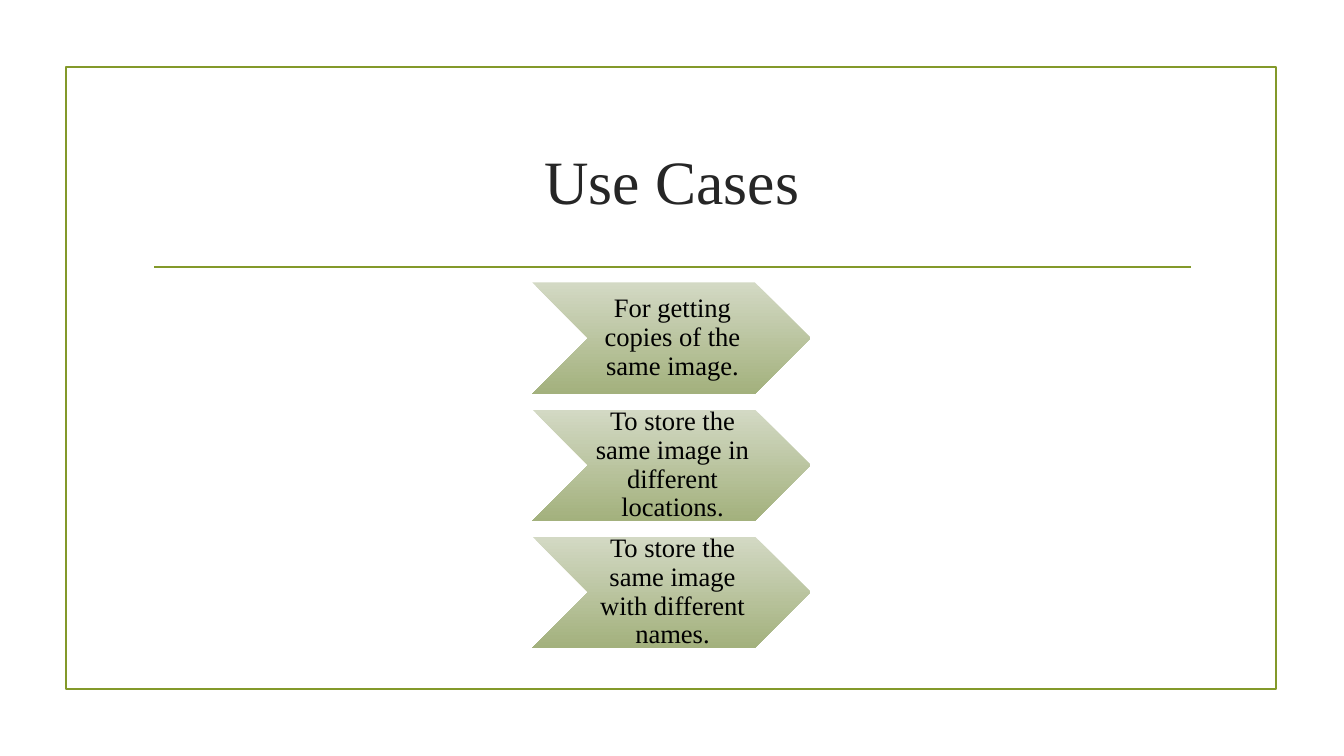
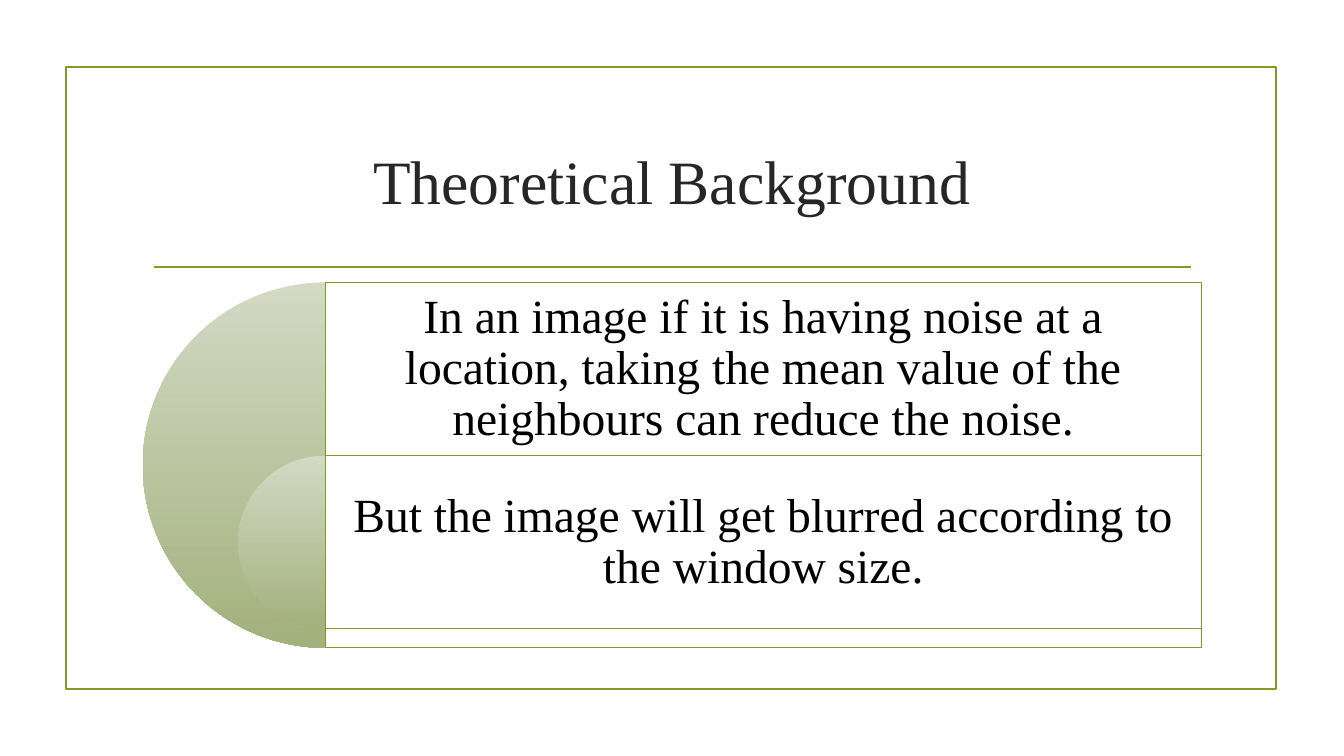
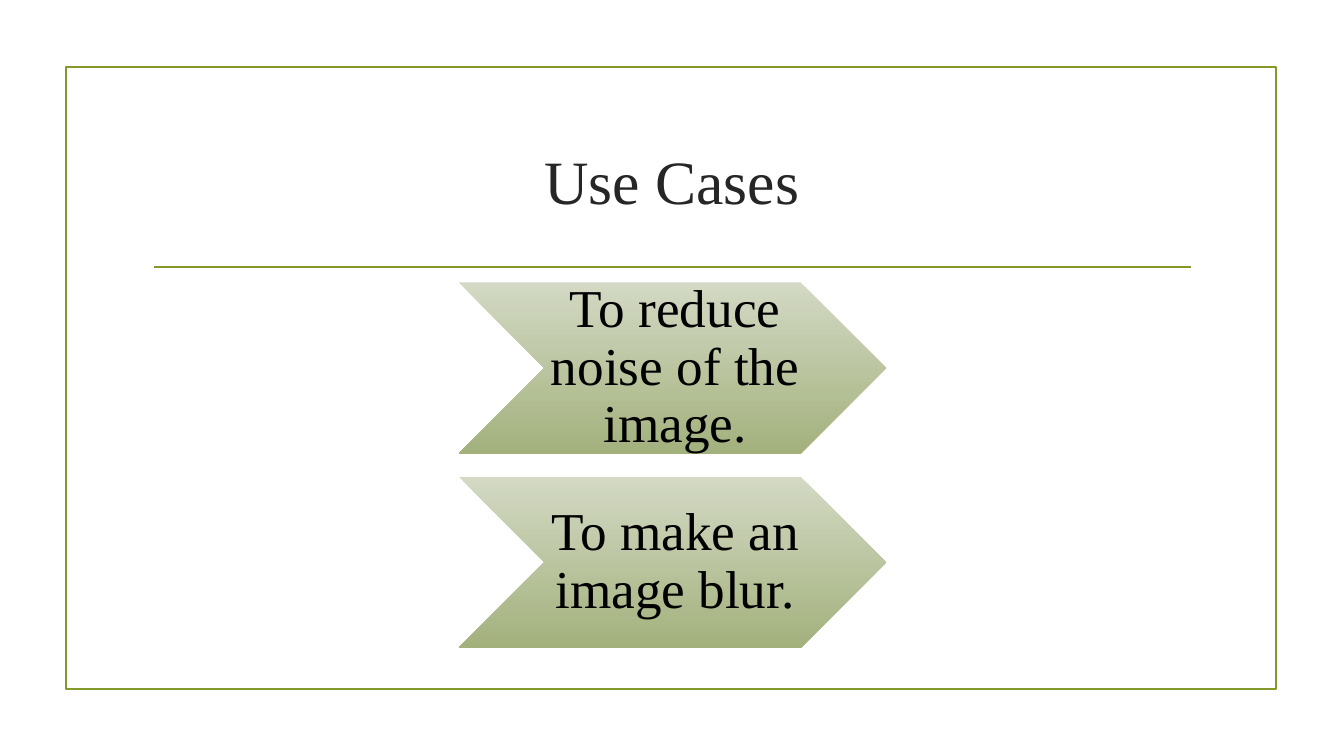
from collections import namedtuple

from lxml import etree
from pptx import Presentation
from pptx import util as u
from pptx.dml.color import RGBColor
from pptx.enum import shapes, text
from pptx.oxml import ns

Box = namedtuple("Box", "left top width height")

FONT = "Times New Roman"
OLIVE, PALE, SAGE = "83992A", "D3D9C4", "A3B17D"
INK, BLACK, WHITE = "262626", "000000", "FFFFFF"
FRAME = Box(63, 64, 1152, 592)
TITLE = Box(136, 103, 1008, 137)
RULE = Box(147, 254, 987, 0)
CONTENT = Box(136, 269, 1008, 348)


def px(length):
    """Turn pixels, 96 to the inch, into EMU."""
    return u.Emu(round(length) * 9525)


def rgb(colour):
    """Turn a hex string into a colour."""
    return RGBColor.from_string(colour)


def place(box):
    """Return the four sides of a box in EMU."""
    return [px(length) for length in box]


def write(shape, wording, size, colour, margins, spacing=1.0):
    """Put one centred paragraph into a shape."""
    frame = shape.text_frame
    frame.word_wrap = True
    frame.auto_size = text.MSO_AUTO_SIZE.NONE
    frame.vertical_anchor = text.MSO_ANCHOR.MIDDLE
    (frame.margin_left, frame.margin_top,
     frame.margin_right, frame.margin_bottom) = place(margins)
    paragraph = frame.paragraphs[0]
    paragraph.alignment = text.PP_ALIGN.CENTER
    paragraph.line_spacing = spacing
    run = paragraph.add_run()
    run.text = wording
    run.font.name = FONT
    run.font.size = u.Pt(size)
    run.font.color.rgb = rgb(colour)


def add_plain(slide, kind, box):
    """Add a preset shape without shadow, fill or line."""
    shape = slide.shapes.add_shape(kind, *place(box))
    shape.shadow.inherit = False
    shape.fill.background()
    shape.line.fill.background()
    return shape


def stroke(shape, width):
    """Give a shape or connector the olive line."""
    shape.line.color.rgb = rgb(OLIVE)
    shape.line.width = u.Pt(width)


def shade(shape):
    """Fill a shape with the vertical green gradient."""
    shape.fill.gradient()
    shape.fill.gradient_angle = 270
    for stop, colour in zip(shape.fill.gradient_stops, (PALE, SAGE)):
        stop.color.rgb = rgb(colour)


def veil(shape):
    """Fill a shape with white at 90 % opacity."""
    shape.fill.solid()
    shape.fill.fore_color.rgb = rgb(WHITE)
    white = shape.element.spPr.find(ns.qn("a:solidFill"))[0]
    etree.SubElement(white, ns.qn("a:alpha"), val="90000")


def add_framed_slide(deck, heading):
    """Add a slide with the frame, the rule and a title."""
    slide = deck.slides.add_slide(deck.slide_layouts[5])
    stroke(add_plain(slide, shapes.MSO_SHAPE.RECTANGLE, FRAME), 1.25)
    left, top, width, height = RULE
    rule = slide.shapes.add_connector(
        shapes.MSO_CONNECTOR.STRAIGHT,
        *place((left, top, left + width, top + height)))
    stroke(rule, 1.25)
    etree.SubElement(rule.element.spPr, ns.qn("a:effectLst"))
    title = slide.shapes.title
    title.left, title.top, title.width, title.height = place(TITLE)
    write(title, heading, 44, INK, (10, 5, 10, 5))
    return slide


def add_chevrons(slide, box, uses, size):
    """Stack centred chevrons over the full height of a box."""
    height = box.height / (len(uses) + 0.14 * (len(uses) - 1))
    width = 2.5 * height
    left = box.left + (box.width - width) / 2
    side, edge = round(size / 8), round(size / 16)
    for row, use in enumerate(uses):
        chevron = add_plain(
            slide, shapes.MSO_SHAPE.CHEVRON,
            Box(left, box.top + 1.14 * height * row, width, height))
        shade(chevron)
        write(chevron, use, size, BLACK, (side, edge, 0, edge), 0.9)


def add_half_discs(slide, box, points, size):
    """Set nested half discs beside a panel for each point."""
    row_height = 0.95 * box.height / len(points)
    axis = box.left + box.height / 2
    inset = 13
    for row, point in enumerate(points):
        top = box.top + row * row_height
        span = row_height * (len(points) - row) if row else box.height
        disc = add_plain(slide, shapes.MSO_SHAPE.PIE,
                         Box(axis - span / 2, top, span, span))
        disc.adjustments[0], disc.adjustments[1] = 54, 162
        shade(disc)
        panel = add_plain(slide, shapes.MSO_SHAPE.RECTANGLE,
                          Box(axis, top, box.left + box.width - axis, span))
        veil(panel)
        stroke(panel, 0.75)
        below = inset + span - row_height
        write(panel, point, size, BLACK, (inset, inset, inset, below), 0.9)


def main():
    """Build and save the deck."""
    deck = Presentation()
    deck.slide_width, deck.slide_height = px(1280), px(720)
    add_chevrons(add_framed_slide(deck, "Use Cases"), CONTENT, [
        "For getting copies of the same image.",
        "To store the same image in different locations.",
        "To store the same image with different names.",
    ], 19)
    add_half_discs(add_framed_slide(deck, "Theoretical Background"), CONTENT, [
        "In an image if it is having noise at a location, taking the mean "
        "value of the neighbours can reduce the noise.",
        "But the image will get blurred according to the window size.",
    ], 34)
    add_chevrons(add_framed_slide(deck, "Use Cases"), CONTENT, [
        "To reduce noise of the image.",
        "To make an image blur.",
    ], 38)
    deck.save("out.pptx")


if __name__ == "__main__":
    main()
